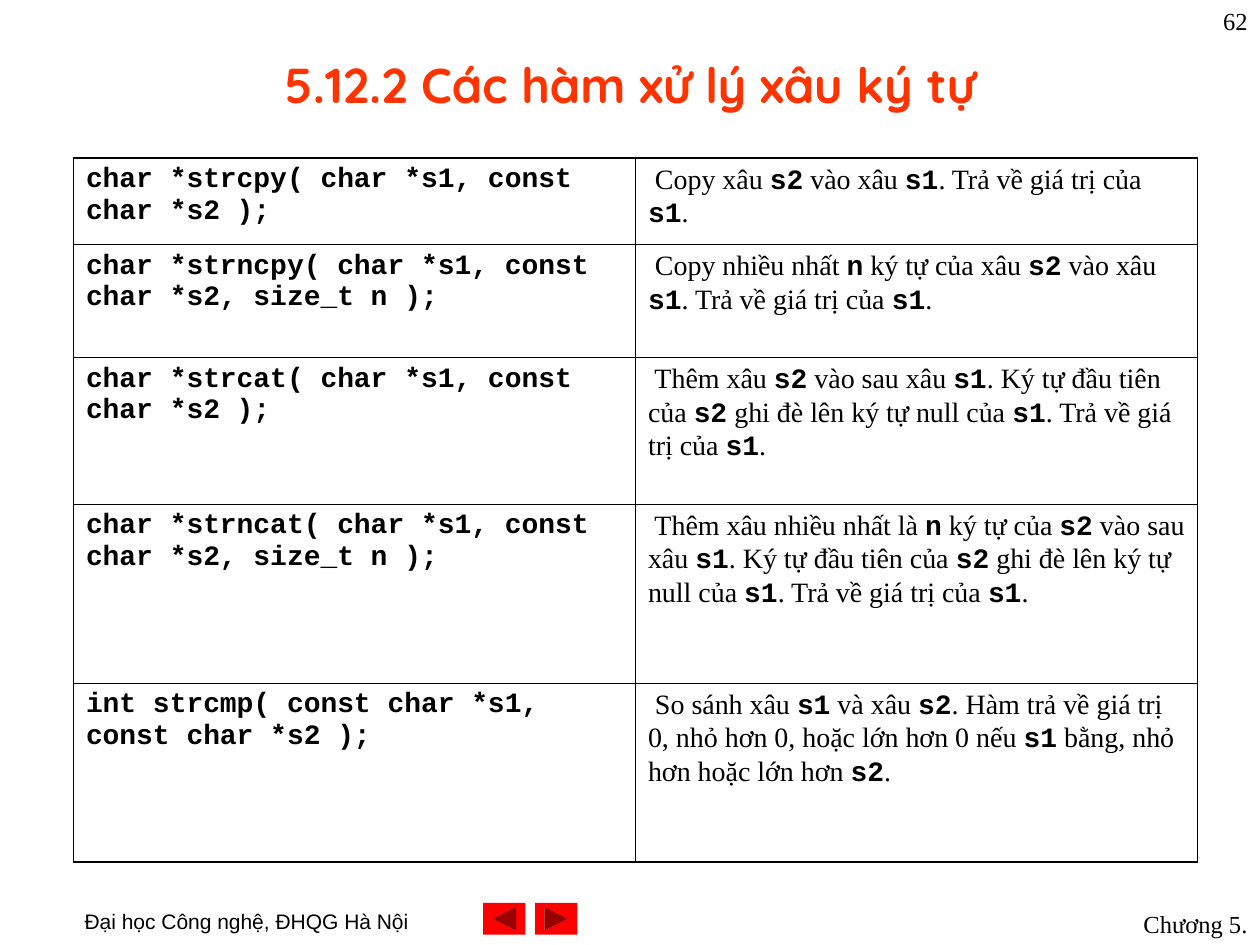
from dataclasses import dataclass

from lxml import etree
from pptx import Presentation
from pptx.dml.color import RGBColor
from pptx.enum.shapes import MSO_SHAPE
from pptx.enum.text import MSO_ANCHOR, PP_ALIGN
from pptx.oxml.ns import qn
from pptx.util import Cm, Pt

NEXT_BUTTON = MSO_SHAPE.ACTION_BUTTON_FORWARD_OR_NEXT
TOP, MIDDLE = MSO_ANCHOR.TOP, MSO_ANCHOR.MIDDLE
LEFT, CENTER, RIGHT = PP_ALIGN.LEFT, PP_ALIGN.CENTER, PP_ALIGN.RIGHT


@dataclass(frozen=True)
class Theme:
    ink: str = "000000"
    title: str = "FF3300"
    button: str = "FF0000"
    title_font: str = "Quicksand"
    body_font: str = "Times New Roman"
    code_font: str = "Courier New"
    footer_font: str = "Arial"
    title_size: float = 28
    table_size: float = 16
    label_size: float = 14
    footer_size: float = 12
    outer_line: float = 1.08
    inner_line: float = 0.45


THEME = Theme()

FUNCTIONS = [
    ("`char *strcpy( char *s1, const char *s2 );`",
     " Copy xâu `s2` vào xâu `s1`. Trả về giá trị của `s1`."),
    ("`char *strncpy( char *s1, const char *s2, size_t n );`",
     " Copy nhiều nhất `n` ký tự của xâu `s2` vào xâu `s1`. "
     "Trả về giá trị của `s1`."),
    ("`char *strcat( char *s1, const char *s2 );`",
     " Thêm xâu `s2` vào sau xâu `s1`. Ký tự đầu tiên của `s2` "
     "ghi đè lên ký tự null của `s1`. Trả về giá trị của `s1`."),
    ("`char *strncat( char *s1, const char *s2, size_t n );`",
     " Thêm xâu nhiều nhất là `n` ký tự của `s2` vào sau xâu `s1`. "
     "Ký tự đầu tiên của `s2` ghi đè lên ký tự null của `s1`. "
     "Trả về giá trị của `s1`."),
    ("`int strcmp( const char *s1, const char *s2 );`",
     " So sánh xâu `s1` và xâu `s2`. Hàm trả về giá trị 0, nhỏ hơn 0, "
     "hoặc lớn hơn 0 nếu `s1` bằng, nhỏ hơn hoặc lớn hơn `s2`."),
]
ROW_HEIGHTS = [1.75, 2.28, 2.95, 3.61, 3.61]


def style_font(font, name, size, color=THEME.ink, bold=False):
    font.name = name
    font.size = Pt(size)
    font.bold = bold
    font.color.rgb = RGBColor.from_string(color)


def add_label(s, box, text, align, name, size, color=THEME.ink, bold=False,
              anchor=TOP):
    tf = s.shapes.add_textbox(*map(Cm, box)).text_frame
    tf.word_wrap = True
    tf.vertical_anchor = anchor
    tf.text = text
    p = tf.paragraphs[0]
    p.alignment = align
    style_font(p.runs[0].font, name, size, color, bold)


def add_code_text(p, text):
    for i, part in enumerate(text.split("`")):
        if part:
            r = p.add_run()
            r.text = part
            is_code = i % 2 == 1
            name = THEME.code_font if is_code else THEME.body_font
            style_font(r.font, name, THEME.table_size, bold=is_code)


def set_borders(cell, outer_sides):
    tc_pr = cell._tc.get_or_add_tcPr()
    for i, side in enumerate("LRTB"):
        width = THEME.outer_line if side in outer_sides else THEME.inner_line
        ln = etree.Element(qn(f"a:ln{side}"), w=str(Pt(width)))
        fill = etree.SubElement(ln, qn("a:solidFill"))
        etree.SubElement(fill, qn("a:srgbClr"), val=THEME.ink)
        tc_pr.insert(i, ln)


def add_function_table(s, box):
    rows, cols = len(FUNCTIONS), len(FUNCTIONS[0])
    table = s.shapes.add_table(rows, cols, *map(Cm, box)).table
    table.first_row = False
    table.horz_banding = False
    for i, (texts, height) in enumerate(zip(FUNCTIONS, ROW_HEIGHTS)):
        table.rows[i].height = Cm(height)
        for j, text in enumerate(texts):
            cell = table.cell(i, j)
            cell.fill.background()
            edges = {"L": j == 0, "R": j == cols - 1,
                     "T": i == 0, "B": i == rows - 1}
            set_borders(cell, [side for side, outer in edges.items() if outer])
            p = cell.text_frame.paragraphs[0]
            p.alignment = LEFT
            add_code_text(p, text)


def add_navigation(s, box):
    left, top, width, height = box
    button_width = 0.85
    for x, rotation in ((left, 180), (left + width - button_width, 0)):
        sp = s.shapes.add_shape(NEXT_BUTTON, Cm(x), Cm(top),
                                Cm(button_width), Cm(height))
        sp.rotation = rotation
        sp.shadow.inherit = False
        sp.fill.solid()
        sp.fill.fore_color.rgb = RGBColor.from_string(THEME.button)
        sp.line.fill.background()


def add_footer(s, box):
    left, top, width, height = box
    label_width = 9.95
    add_label(s, (left, top, label_width, height),
              "Đại học Công nghệ, ĐHQG Hà Nội", CENTER,
              THEME.footer_font, THEME.footer_size)
    add_navigation(s, (left + 9.74, top, 1.9, 0.64))
    add_label(s, (left + width - label_width, top, label_width, height),
              "Chương 5.", RIGHT, THEME.body_font, THEME.label_size)


def main():
    prs = Presentation()
    prs.slide_width, prs.slide_height = Cm(25.4), Cm(19.05)
    s = prs.slides.add_slide(prs.slide_layouts[6])
    add_footer(s, (0, 18.2, 25.4, 0.85))
    add_label(s, (20.12, 0, 5.28, 1.27), "62", RIGHT,
              THEME.body_font, THEME.label_size)
    add_label(s, (1.9, 0.2, 21.6, 2.97), "5.12.2 Các hàm xử lý xâu ký tự",
              CENTER, THEME.title_font, THEME.title_size, THEME.title, True,
              MIDDLE)
    add_function_table(s, (1.48, 3.18, 22.66, sum(ROW_HEIGHTS)))
    prs.save("out.pptx")


if __name__ == "__main__":
    main()
